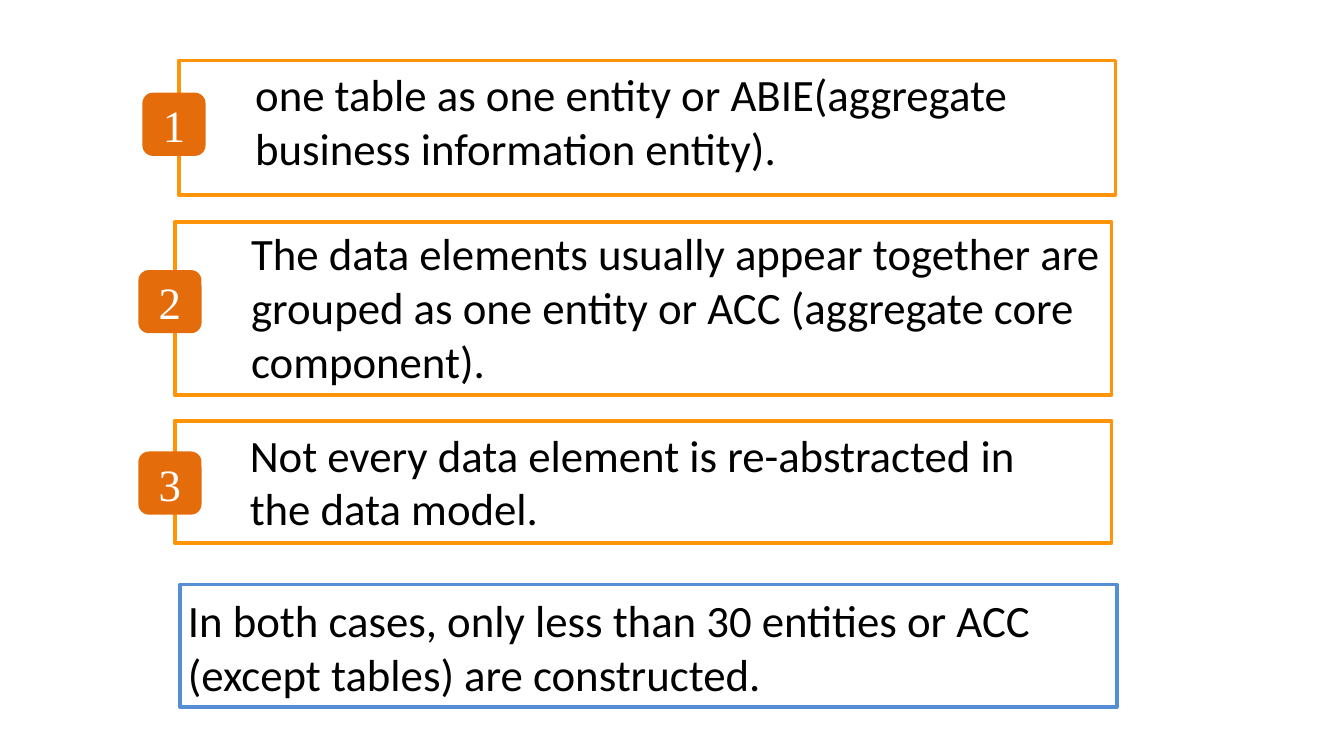
from pptx import Presentation
from pptx.dml.color import RGBColor
from pptx.enum.shapes import MSO_SHAPE as Shape
from pptx.enum.text import MSO_ANCHOR as Anchor, MSO_AUTO_SIZE as AutoSize, PP_ALIGN as Align
from pptx.util import Inches, Pt

ORANGE, AMBER, BLUE = "E46C0A", "FF9409", "558ED5"
BLACK, WHITE = "000000", "FFFFFF"
FRAME_WIDTH = 6.97
BADGE_SIZE = 0.47
BADGE_OVERHANG = 0.27


def color(hex_code):
    return RGBColor.from_string(hex_code)


class SlideBuilder:
    """Holds the shared text style and the slide being filled."""

    body_font = "Calibri"
    number_font = "Times New Roman"
    text_size = Pt(24)
    frame_line = Pt(2)

    def __init__(self, slide):
        self.slide = slide

    def _add_shape(self, kind, left, top, width, height):
        shape = self.slide.shapes.add_shape(
            kind, Inches(left), Inches(top), Inches(width), Inches(height))
        shape.shadow.inherit = False
        return shape

    def _write(self, text_frame, wording, font_name, hex_code):
        text_frame.text = wording
        font = text_frame.paragraphs[0].runs[0].font
        font.name = font_name
        font.size = self.text_size
        font.color.rgb = color(hex_code)

    def frame(self, left, top, height, line):
        outline = self._add_shape(Shape.RECTANGLE, left, top, FRAME_WIDTH, height)
        outline.fill.background()
        outline.line.color.rgb = color(line)
        outline.line.width = self.frame_line

    def statement(self, wording, left, top, width, height):
        box = self.slide.shapes.add_textbox(
            Inches(left), Inches(top), Inches(width), Inches(height))
        box.text_frame.word_wrap = True
        box.text_frame.auto_size = AutoSize.SHAPE_TO_FIT_TEXT
        self._write(box.text_frame, wording, self.body_font, BLACK)

    def badge(self, number, left, top):
        badge = self._add_shape(Shape.ROUNDED_RECTANGLE, left, top, BADGE_SIZE, BADGE_SIZE)
        badge.adjustments[0] = 0.167
        badge.fill.solid()
        badge.fill.fore_color.rgb = color(ORANGE)
        badge.line.fill.background()
        self._write(badge.text_frame, str(number), self.number_font, WHITE)
        badge.text_frame.vertical_anchor = Anchor.MIDDLE
        badge.text_frame.paragraphs[0].alignment = Align.CENTER


# wording, frame (left, top, height), text (left, top, width, height), badge top
RULES = [
    ("one table as one entity or ABIE(aggregate business information entity).",
     (1.33, 0.45, 1), (1.8, 0.45, 6.38, 0.91), 0.69),
    ("The data elements usually appear together are grouped as one entity "
     "or ACC (aggregate core component).",
     (1.3, 1.65, 1.29), (1.77, 1.63, 6.78, 1.31), 2.01),
    ("Not every data element is re-abstracted in the data model.",
     (1.3, 3.13, 0.91), (1.76, 3.13, 6.38, 0.91), 3.36),
]
CONCLUSION = ("In both cases, only less than 30 entities or ACC "
              "(except tables) are constructed.")


def main():
    deck = Presentation()
    deck.slide_width = Inches(10)
    deck.slide_height = deck.slide_width * 9 // 16
    builder = SlideBuilder(deck.slides.add_slide(deck.slide_layouts[6]))

    builder.statement(CONCLUSION, 1.3, 4.36, 7, 0.91)
    for number, (wording, frame, text_area, badge_top) in enumerate(RULES, start=1):
        builder.frame(*frame, line=AMBER)
        builder.statement(wording, *text_area)
        builder.badge(number, frame[0] - BADGE_OVERHANG, badge_top)
    builder.frame(1.34, 4.35, 0.91, line=BLUE)

    deck.save("out.pptx")


if __name__ == "__main__":
    main()
